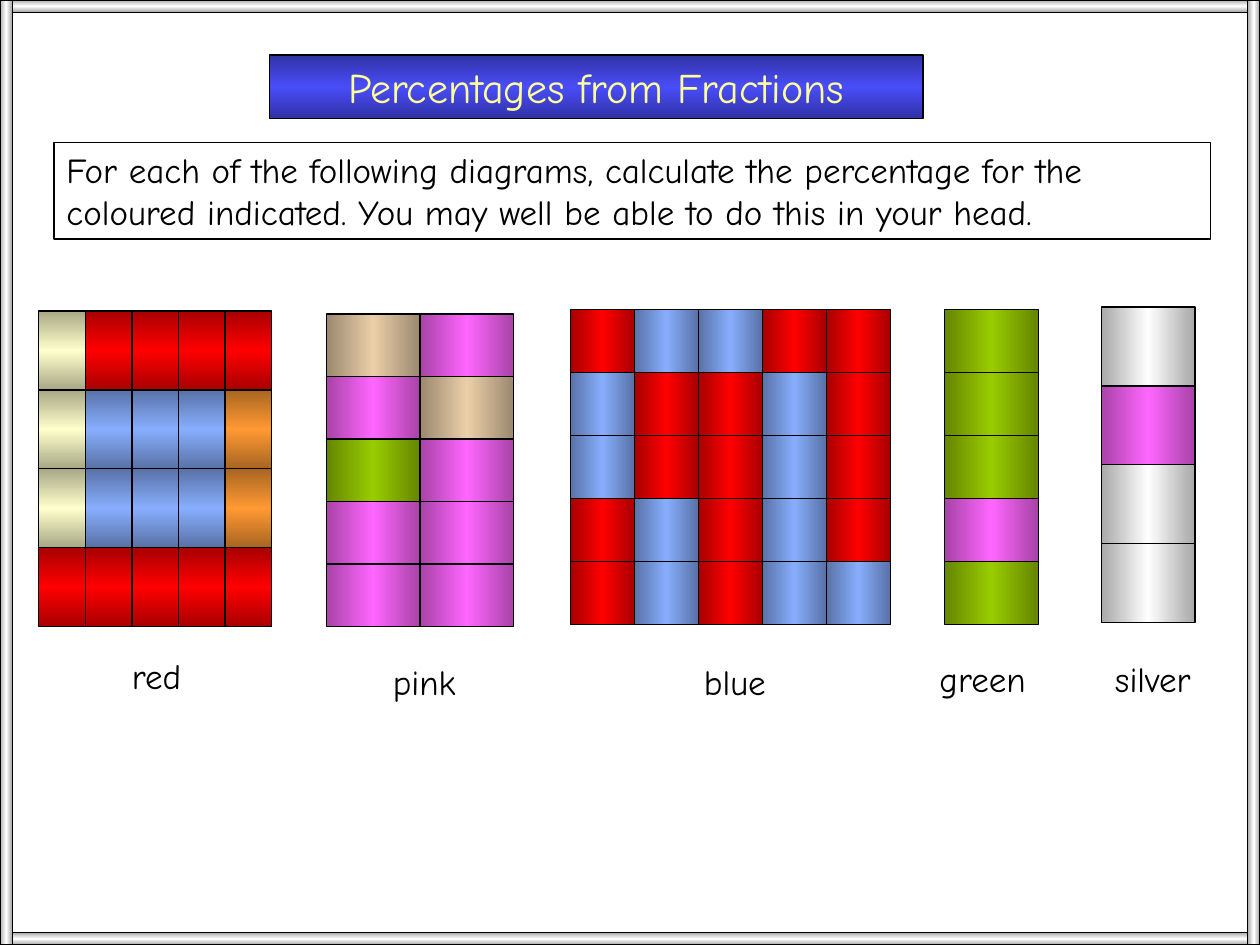
"""Build the 'Percentages from Fractions' exercise slide."""
from copy import deepcopy

from pptx import Presentation
from pptx.dml.color import RGBColor
from pptx.enum import shapes, text
from pptx.oxml.ns import qn
from pptx.util import Cm, Pt

THEME = {
    "font": "Comic Neue",
    "title_size": 24,
    "body_size": 20,
    "title": "FFFF99",
    "ink": "000000",
    "paper": "FFFFFF",
    "line": 0.75,
    "shades": {
        "banner": ("3032A4", "494DF9"),
        "silver": ("A8A8A8", "FFFFFF"),
        "red": ("A80000", "FF0000"),
        "blue": ("5972A7", "87AEFD"),
        "cream": ("A8A886", "FFFFCC"),
        "orange": ("A86521", "FF9933"),
        "pink": ("A843A8", "FF66FF"),
        "tan": ("9B886F", "EBCFA9"),
        "green": ("658600", "99CC00"),
    },
}
CODES = {"S": "silver", "R": "red", "B": "blue", "C": "cream", "O": "orange",
         "P": "pink", "T": "tan", "G": "green"}
LEFT, CENTER = text.PP_ALIGN.LEFT, text.PP_ALIGN.CENTER
ACROSS, DOWN = 0, 90

WIDTH, HEIGHT, BORDER = 25.4, 19.05, 0.25
TITLE = ("Percentages from Fractions", (5.43, 1.11, 13.18, 1.28))
INTRO = ("For each of the following diagrams, calculate the percentage for the "
         "coloured indicated. You may well be able to do this in your head.",
         (1.09, 2.87, 23.32, 1.95))
FRAME = [
    ((0, 0, WIDTH, BORDER), DOWN),
    ((0, HEIGHT - BORDER, WIDTH, BORDER), DOWN),
    ((0, 0, BORDER, HEIGHT), ACROSS),
    ((WIDTH - BORDER, 0, BORDER, HEIGHT), ACROSS),
]
DIAGRAMS = [
    {"rows": ["CRRRR", "CBBBO", "CBBBO", "RRRRR"], "corner": (0.78, 6.27),
     "cell": (0.94, 1.59), "shading": DOWN,
     "label": "red", "label_box": (2.41, 13.06, 1.9, 1.11), "align": LEFT},
    {"rows": ["TP", "PT", "GP", "PP", "PP"], "corner": (6.58, 6.33),
     "cell": (1.89, 1.26), "shading": ACROSS,
     "label": "pink", "label_box": (7.67, 13.18, 1.9, 1.11), "align": LEFT},
    {"rows": ["RBBRR", "BRRBR", "BRRBR", "RBRBR", "RBRBB"],
     "corner": (11.5, 6.24), "cell": (1.29, 1.27), "shading": ACROSS,
     "label": "blue", "label_box": (13.94, 13.18, 1.9, 1.11), "align": LEFT},
    {"rows": ["G", "G", "G", "P", "G"], "corner": (19.04, 6.24),
     "cell": (1.89, 1.27), "shading": ACROSS,
     "label": "green", "label_box": (18.44, 13.13, 2.74, 1.11), "align": CENTER},
    {"rows": ["S", "P", "S", "S"], "corner": (22.2, 6.19),
     "cell": (1.89, 1.59), "shading": ACROSS,
     "label": "silver", "label_box": (21.87, 13.13, 2.74, 1.11), "align": CENTER},
]


def rgb(name):
    return RGBColor.from_string(name)


def add_box(slide, box):
    panel = slide.shapes.add_shape(shapes.MSO_SHAPE.RECTANGLE, *map(Cm, box))
    panel.shadow.inherit = False
    return panel


def outline(panel):
    panel.line.color.rgb = rgb(THEME["ink"])
    panel.line.width = Pt(THEME["line"])


def shade(panel, shade_name, angle):
    edge, middle = THEME["shades"][shade_name]
    panel.fill.gradient()
    panel.fill.gradient_angle = angle
    stop_list = panel._element.spPr.find(qn("a:gradFill")).find(qn("a:gsLst"))
    stop_list.append(deepcopy(stop_list[-1]))
    for stop, place, colour in zip(panel.fill.gradient_stops,
                                   (0, 0.5, 1), (edge, middle, edge)):
        stop.position = place
        stop.color.rgb = rgb(colour)
    outline(panel)


def write(panel, words, size, colour, align):
    frame = panel.text_frame
    frame.text = words
    frame.word_wrap = True
    frame.auto_size = text.MSO_AUTO_SIZE.NONE
    frame.vertical_anchor = text.MSO_ANCHOR.TOP
    frame.margin_left = frame.margin_right = Cm(0.25)
    frame.margin_top = frame.margin_bottom = Cm(0.13)
    paragraph = frame.paragraphs[0]
    paragraph.alignment = align
    paragraph.space_before = Pt(0)
    font = paragraph.runs[0].font
    font.name, font.size = THEME["font"], Pt(size)
    font.color.rgb = rgb(colour)


def add_caption(slide, words, box, align):
    caption = add_box(slide, box)
    caption.fill.solid()
    caption.fill.fore_color.rgb = rgb(THEME["paper"])
    caption.line.fill.background()
    write(caption, words, THEME["body_size"], THEME["ink"], align)
    return caption


def add_diagram(slide, diagram):
    left, top = diagram["corner"]
    width, height = diagram["cell"]
    for row, codes in enumerate(diagram["rows"]):
        for column, code in enumerate(codes):
            cell = add_box(slide, (left + column * width, top + row * height,
                                   width, height))
            shade(cell, CODES[code], diagram["shading"])
    add_caption(slide, diagram["label"], diagram["label_box"], diagram["align"])


def main():
    deck = Presentation()
    deck.slide_width, deck.slide_height = Cm(WIDTH), Cm(HEIGHT)
    slide = deck.slides.add_slide(deck.slide_layouts[5])

    for box, angle in FRAME:
        shade(add_box(slide, box), "silver", angle)

    words, box = TITLE
    title = slide.shapes.title
    title.left, title.top, title.width, title.height = map(Cm, box)
    shade(title, "banner", DOWN)
    write(title, words, THEME["title_size"], THEME["title"], CENTER)

    for diagram in DIAGRAMS:
        add_diagram(slide, diagram)
    outline(add_caption(slide, *INTRO, LEFT))

    deck.save("out.pptx")


if __name__ == "__main__":
    main()
